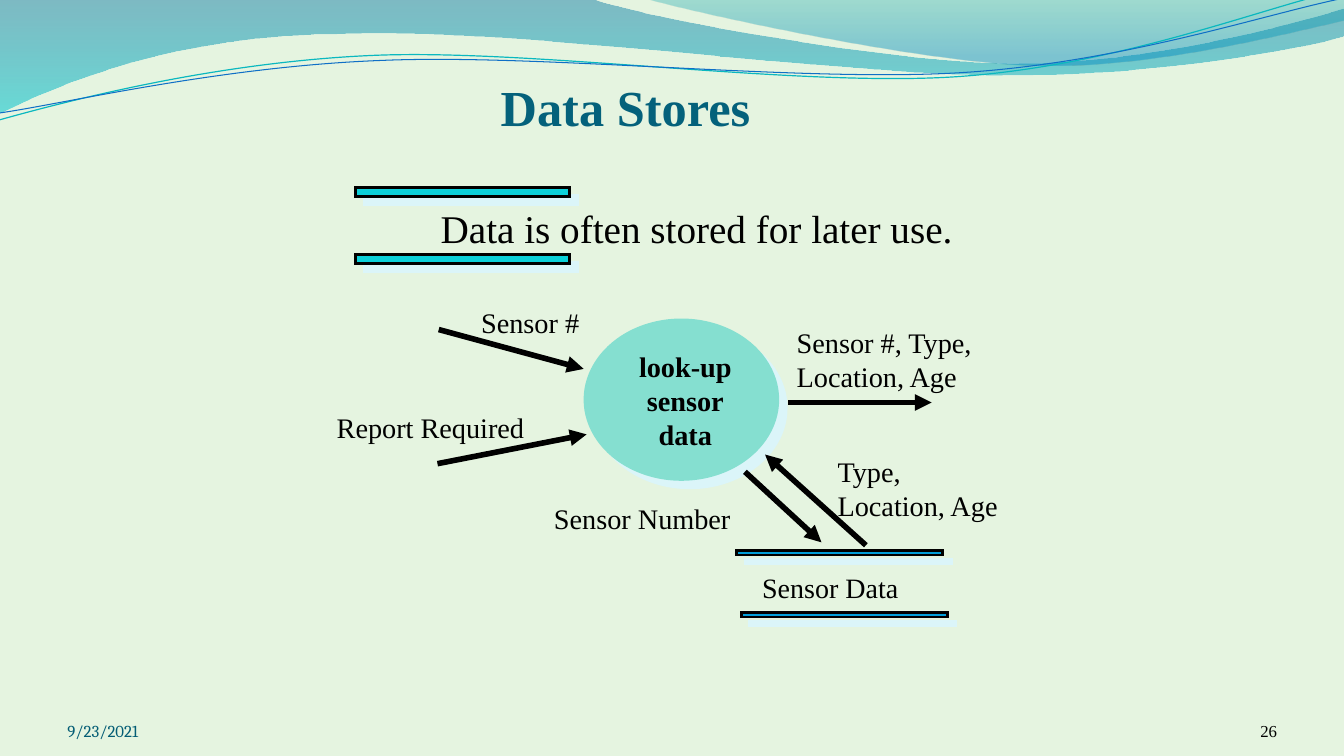
"""Build the "Data Stores" slide: a data-flow diagram under a wave header."""
from lxml.etree import SubElement
from pptx import Presentation
from pptx.dml.color import RGBColor
from pptx.enum.shapes import MSO_CONNECTOR, MSO_SHAPE
from pptx.enum.text import MSO_ANCHOR, MSO_AUTO_SIZE, PP_ALIGN
from pptx.oxml.ns import qn
from pptx.util import Pt

MINT = RGBColor(0xE5, 0xF4, 0xE0)
BLACK = RGBColor(0x00, 0x00, 0x00)
NAVY = RGBColor(0x04, 0x61, 0x7B)
DATE_BLUE = RGBColor(0x04, 0x5D, 0x75)
CYAN = RGBColor(0x0B, 0xD0, 0xD9)
AZURE = RGBColor(0x00, 0x9D, 0xD9)
AQUA = RGBColor(0x85, 0xDF, 0xD0)
STRIPE_TEAL = RGBColor(0x0A, 0xB8, 0xBF)
STRIPE_BLUE = RGBColor(0x0F, 0x6F, 0xC6)
WAVE_BLUE = RGBColor(0x00, 0x74, 0xA1)
WAVE_CYAN = RGBColor(0x00, 0xC6, 0xCF)
WAVE_TEAL = RGBColor(0x00, 0xA1, 0xA9)
WAVE_AZURE = RGBColor(0x00, 0x8B, 0xBF)
SHADOW = "DBF5F9"
SERIF = "Times New Roman"
STRIPE_TILT = -2.7

# Outline segments: two numbers are a straight line, six are a cubic curve.
WAVES = [
    ([(0, -0.7), (422.6, -0.7),
      (456.5, 12.2, 637.2, 45.4, 727.9, 45.4),
      (819.4, 45.4, 920.2, 18.7, 959.8, 6.5), (961.2, 25.9),
      (943.9, 31.7, 835.2, 54.7, 715.7, 54),
      (596.9, 54, 366.5, 20.2, 247, 24.5),
      (123.8, 25.2, 43.9, 59.8, -0.7, 81.4), (0, -0.7)],
     [(0, WAVE_BLUE, 45), (1, WAVE_CYAN, 55)]),
    ([(460.1, -0.7),
      (488.9, 7.9, 654.5, 44.6, 738, 46.8),
      (821.5, 49.7, 923, 23, 959.8, 15.1), (959.8, 0), (460.1, -0.7)],
     [(0, WAVE_TEAL, 30), (0.8, WAVE_AZURE, 45)]),
]
STRIPES = [
    ([(-2.3, 63.1),
      (45.1, 52.3, 152.1, 29.2, 266, 29.6),
      (379.8, 29.9, 567.7, 66.8, 683.2, 64.4),
      (798.6, 61.9, 902.6, 25.7, 960.1, 15.5)], STRIPE_TEAL, 0.85),
    ([(-1.3, 58),
      (44.4, 53.7, 157.2, 32.3, 272.4, 33.4),
      (386.9, 33.8, 572.2, 63.4, 687, 61.6),
      (802.3, 59.8, 904.6, 30, 962.1, 21.2)], STRIPE_BLUE, 0.75),
]
STORE_BARS = [
    ((254.2, 133.7, 152.6, 6.5), CYAN),
    ((254.2, 181.5, 152.6, 6.5), CYAN),
    ((526.2, 393.5, 147.3, 3), AZURE),
    ((529.5, 437.8, 147.3, 3), AZURE),
]
PROCESS = (416.9, 227.5, 139.7, 115.9)
FLOWS = [
    (313.4, 235.4, 416.9, 263.5),
    (312.5, 331.2, 419, 310.3),
    (563.2, 287.5, 665.5, 287.5),
    (532.1, 337, 586.8, 387.4),
    (618.5, 389.5, 546.5, 324.7),
]
LABELS = [
    (["Data is often stored for later use."], (306.9, 142, 385.9, 41.8), 28),
    (["Sensor #"], (335.8, 214.4, 87.1, 32.4), 20.2),
    (["Report Required"], (232.6, 289.2, 151.9, 32.4), 20.2),
    (["Sensor #, Type,", "Location, Age"], (561.2, 228.4, 148.3, 56.9), 20.2),
    (["Sensor Number"], (387.8, 354, 144, 32.4), 20.2),
    (["Type,", "Location, Age"], (590.4, 320.6, 132.5, 56.9), 20.2),
]
SENSOR_DATA = (["Sensor Data"], (537.3, 403.9, 112.3, 31.7), 20)
PROCESS_NAME = (["look-up", "sensor", "data"], (447.8, 245.7, 83.5, 105.8), 20.2)
TITLE = (["Data Stores"], (129.6, 0, 634.3, 101.3), 36)
DATE = (["9/23/2021"], (48.2, 500.4, 223.9, 28.8), 12)
PAGE = (["26"], (832.3, 500.4, 79.9, 28.8), 12)


def add_outline(shapes, segments):
    """Add a freeform without shadow, turning six-number segments into curves."""
    start, *rest = segments
    corners = [(Pt(x), Pt(y)) for segment in rest
               for x, y in zip(segment[::2], segment[1::2])]
    builder = shapes.build_freeform(*map(Pt, start))
    builder.add_line_segments(corners, close=False)
    outline = builder.convert_to_shape()
    outline.shadow.inherit = False
    track = next(outline.element.iter(qn("a:path")))
    lines = iter(track.findall(qn("a:lnTo")))
    for segment in rest:
        if len(segment) == 2:
            track.append(next(lines))
            continue
        curve = SubElement(track, qn("a:cubicBezTo"))
        for _ in range(3):
            line = next(lines)
            curve.append(line[0])
            track.remove(line)
    return outline


def add_wave(shapes, segments, stops):
    """Add a translucent wave shaded from top to bottom."""
    wave = add_outline(shapes, segments)
    SubElement(next(wave.element.iter(qn("a:path"))), qn("a:close"))
    wave.line.fill.background()
    wave.fill.gradient()
    wave.fill.gradient_angle = 270
    for stop, (position, color, _) in zip(wave.fill.gradient_stops, stops):
        stop.position = position
        stop.color.rgb = color
    gradient = wave.element.spPr.find(qn("a:gradFill"))
    for color, (_, _, opacity) in zip(gradient.iter(qn("a:srgbClr")), stops):
        SubElement(color, qn("a:alpha"), val=str(opacity * 1000))


def add_stripe(shapes, segments, color, width):
    """Add an open curved line, slightly tilted."""
    stripe = add_outline(shapes, segments)
    stripe.rotation = STRIPE_TILT
    stripe.fill.background()
    stripe.line.color.rgb = color
    stripe.line.width = Pt(width)


def add_solid(shapes, kind, box, color):
    """Add a filled shape with a hard shadow to the lower right."""
    solid = shapes.add_shape(kind, *map(Pt, box))
    solid.fill.solid()
    solid.fill.fore_color.rgb = color
    solid.line.fill.background()
    solid.shadow.inherit = False
    effects = solid.element.spPr.find(qn("a:effectLst"))
    shadow = SubElement(effects, qn("a:outerShdw"), blurRad="0", dist=str(Pt(8.5)),
                        dir="2700000", algn="ctr", rotWithShape="0")
    SubElement(shadow, qn("a:srgbClr"), val=SHADOW)
    return solid


def add_flow(shapes, ends):
    """Add an arrow."""
    flow = shapes.add_connector(MSO_CONNECTOR.STRAIGHT, *map(Pt, ends))
    flow.line.color.rgb = BLACK
    flow.line.width = Pt(4)
    properties = flow.element.spPr
    SubElement(properties.find(qn("a:ln")), qn("a:tailEnd"), type="triangle")
    SubElement(properties, qn("a:effectLst"))


def add_text(shapes, lines, box, size, color=BLACK, bold=False, font=SERIF,
             align=PP_ALIGN.LEFT, fixed=False, inset=7.9):
    """Add a text box; a fixed one wraps and sits on its bottom edge."""
    frame = shapes.add_textbox(*map(Pt, box)).text_frame
    frame.word_wrap = fixed
    frame.auto_size = MSO_AUTO_SIZE.NONE if fixed else MSO_AUTO_SIZE.SHAPE_TO_FIT_TEXT
    frame.vertical_anchor = MSO_ANCHOR.BOTTOM if fixed else MSO_ANCHOR.TOP
    frame.margin_left = frame.margin_right = Pt(inset)
    frame.margin_top = frame.margin_bottom = Pt(inset / 2)
    frame.text = "\n".join(lines)
    for paragraph in frame.paragraphs:
        paragraph.alignment = align
        paragraph.font.name = font
        paragraph.font.size = Pt(size)
        paragraph.font.bold = bold
        paragraph.font.color.rgb = color


def main():
    """Assemble and save the slide."""
    deck = Presentation()
    deck.slide_width, deck.slide_height = Pt(960), Pt(540)
    slide = deck.slides.add_slide(deck.slide_layouts[6])
    slide.background.fill.solid()
    slide.background.fill.fore_color.rgb = MINT
    shapes = slide.shapes
    for wave in WAVES:
        add_wave(shapes, *wave)
    for stripe in STRIPES:
        add_stripe(shapes, *stripe)
    add_text(shapes, *TITLE, NAVY, bold=True, align=PP_ALIGN.CENTER, fixed=True)
    for box, color in STORE_BARS:
        bar = add_solid(shapes, MSO_SHAPE.RECTANGLE, box, color)
        bar.line.color.rgb = BLACK
        bar.line.width = Pt(2)
        SubElement(bar.element.spPr.find(qn("a:ln")), qn("a:miter"), lim="800000")
    add_solid(shapes, MSO_SHAPE.OVAL, PROCESS, AQUA)
    add_text(shapes, *PROCESS_NAME, bold=True, align=PP_ALIGN.CENTER)
    for flow in FLOWS:
        add_flow(shapes, flow)
    for label in LABELS:
        add_text(shapes, *label)
    add_text(shapes, *SENSOR_DATA, inset=7.2)
    add_text(shapes, *DATE, DATE_BLUE, font="Cambria", fixed=True, inset=0)
    add_text(shapes, *PAGE, align=PP_ALIGN.RIGHT, fixed=True, inset=0)
    deck.save("out.pptx")


if __name__ == "__main__":
    main()
